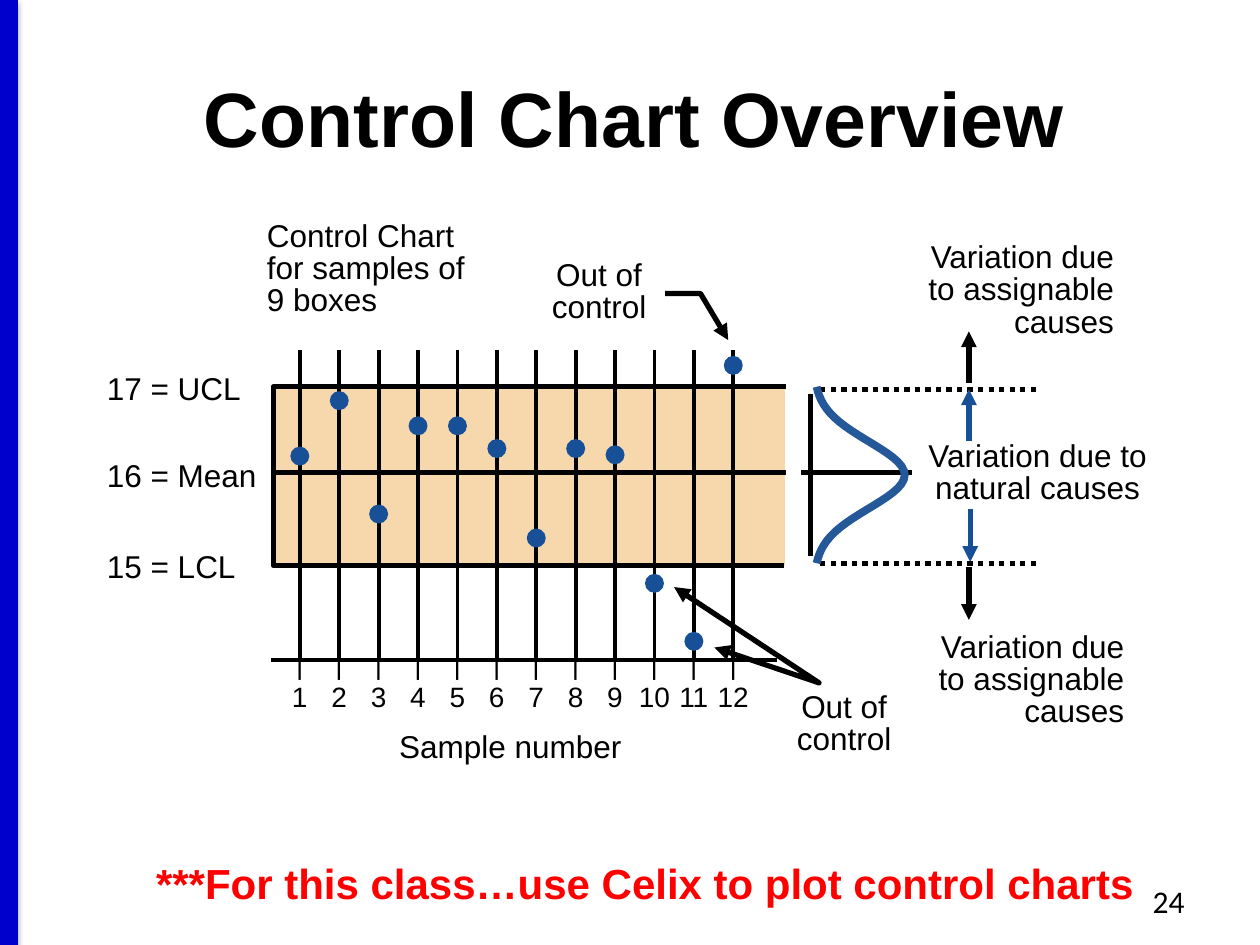
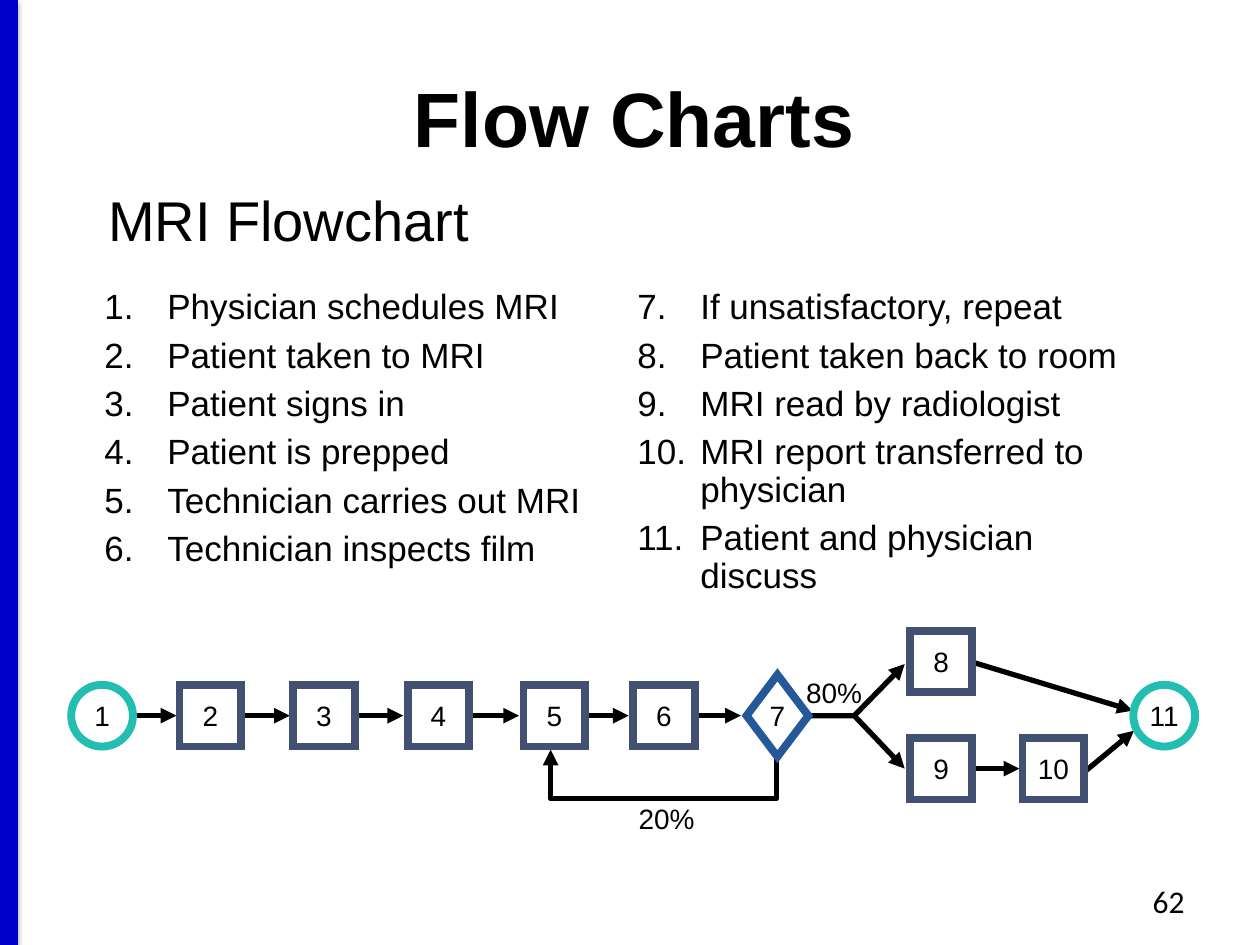
import math

import lxml.etree
import pptx
import pptx.dml.color
import pptx.enum.dml
import pptx.enum.shapes
import pptx.enum.text
import pptx.oxml.ns
import pptx.util

colour_of = pptx.dml.color.RGBColor.from_string
qn = pptx.oxml.ns.qn
ALIGN = pptx.enum.text.PP_ALIGN
SHAPE = pptx.enum.shapes.MSO_SHAPE
STRAIGHT = pptx.enum.shapes.MSO_CONNECTOR.STRAIGHT

BLACK, WHITE, RED = "000000", "FFFFFF", "FF0000"
BAND, SAND, DOT, BELL = "0000CC", "F7D7AC", "175097", "255898"
TEAL, SLATE = "24BDB2", "425171"


def style(shape, line=None, width=3, fill=None, arrows=(), dash=None, join="round"):
    """Set line, fill and arrowheads, and remove the theme shadow."""
    if hasattr(shape, "fill"):
        if fill:
            shape.fill.solid()
            shape.fill.fore_color.rgb = colour_of(fill)
        else:
            shape.fill.background()
    if line:
        shape.line.color.rgb = colour_of(line)
        shape.line.width = pptx.util.Pt(width)
        if dash:
            shape.line.dash_style = dash
        outline = shape._element.spPr.find(qn("a:ln"))
        lxml.etree.SubElement(outline, qn(f"a:{join}"))
        for end in arrows:
            lxml.etree.SubElement(outline, qn(f"a:{end}"), type="triangle")
    else:
        shape.line.fill.background()
    return lxml.etree.SubElement(shape._element.spPr, qn("a:effectLst"))


def write(shape, lines, size=18, color=BLACK, align=ALIGN.LEFT, bold=False, font="Arial",
          spacing=1.0, after=0, wrap=False, middle=False, first_number=None, tabs=()):
    frame = shape.text_frame
    frame.word_wrap = wrap
    if middle:
        frame.vertical_anchor = pptx.enum.text.MSO_ANCHOR.MIDDLE
    frame.text = "\n".join(lines)
    for paragraph in frame.paragraphs:
        properties = paragraph._p.get_or_add_pPr()
        if first_number:
            properties.set("marL", str(CELL // 2))
            properties.set("indent", str(-CELL // 2))
            lxml.etree.SubElement(properties, qn("a:buAutoNum"), type="arabicPeriod",
                                  startAt=str(first_number))
        if tabs:
            tab_list = lxml.etree.SubElement(properties, qn("a:tabLst"))
            for tab in tabs:
                lxml.etree.SubElement(tab_list, qn("a:tab"), pos=str(int(tab * CELL)), algn="ctr")
        paragraph_format = {"alignment": align, "line_spacing": spacing,
                            "space_after": pptx.util.Pt(after)}
        for name, value in paragraph_format.items():
            setattr(paragraph, name, value)
        font_format = {"size": pptx.util.Pt(size), "bold": bold, "name": font}
        for run in paragraph.runs:
            for name, value in font_format.items():
                setattr(run.font, name, value)
            run.font.color.rgb = colour_of(color)


presentation = pptx.Presentation()
presentation.slide_width = pptx.util.Inches(10)
presentation.slide_height = pptx.util.Inches(7.5)
CELL = presentation.slide_width // 10  # square grid: 10 columns by 7.5 rows

# Shared band, title and page number
slides = []
for title, number in [("Control Chart Overview", "24"), ("Flow Charts", "62")]:
    slide = presentation.slides.add_slide(presentation.slide_layouts[6])
    slides.append(slide)
    band_x = int(0.07 * CELL)
    band = slide.shapes.add_connector(STRAIGHT, band_x, 0, band_x, presentation.slide_height)
    effects = style(band, BAND, 10)
    shadow = lxml.etree.SubElement(effects, qn("a:outerShdw"), blurRad="39400", dist="20300",
                                   dir="5400000", rotWithShape="0")
    shadow_colour = lxml.etree.SubElement(shadow, qn("a:srgbClr"), val=BLACK)
    lxml.etree.SubElement(shadow_colour, qn("a:alpha"), val="38000")
    for box, text, text_format in [
        ((0.07, 0.3, 9.93, 1.25), title,
         {"size": 44, "bold": True, "align": ALIGN.CENTER, "middle": True, "wrap": True}),
        ((7.17, 6.95, 2.33, 0.4), number, {"font": "Calibri", "align": ALIGN.RIGHT, "wrap": True}),
    ]:
        write(slide.shapes.add_textbox(*(int(v * CELL) for v in box)), [text], **text_format)
control_slide, flow_slide = slides

# Control chart: scale, limits and samples
UCL, MEAN, LCL = 3.07, 3.75, 4.49
FIRST_X, LAST_X, AXIS_Y = 2.38, 5.82, 5.24
sample_heights = [3.62, 3.18, 4.08, 3.38, 3.38, 3.56, 4.27, 3.56, 3.61, 4.63, 5.09, 2.9]
sample_step = (LAST_X - FIRST_X) / (len(sample_heights) - 1)
sample_xs = [FIRST_X + i * sample_step for i in range(len(sample_heights))]

limits_area = control_slide.shapes.add_shape(
    SHAPE.RECTANGLE, *(int(v * CELL) for v in (2.17, UCL, 4.06, LCL - UCL)))
style(limits_area, fill=SAND)

BELL_TOP, BELL_STEPS = 3.07, 40
bell_curve = []
for i in range(BELL_STEPS + 1):
    offset = 1.4 * i / BELL_STEPS - 0.7
    bell_curve.append((6.46 + 0.72 * math.exp(-offset ** 2 / 0.14), BELL_TOP + 0.7 + offset))

TO_END, BOTH_ENDS = ("tailEnd",), ("headEnd", "tailEnd")
DOTTED = pptx.enum.dml.MSO_LINE.ROUND_DOT
control_lines = [
    ([(6.24, UCL), (2.17, UCL), (2.17, LCL), (6.22, LCL)], {}),
    ([(2.17, MEAN), (6.24, MEAN)], {}),
    *(([(x, 2.78), (x, AXIS_Y)], {"width": 2.25}) for x in sample_xs),
    ([(2.15, AXIS_Y), (6.17, AXIS_Y)], {"width": 2.25}),
    *(([(6.51, y), (8.26, y)], {"dash": DOTTED}) for y in (3.09, 4.47)),
    ([(6.36, MEAN), (7.24, MEAN)], {}),
    (bell_curve, {"line": BELL, "width": 4.5}),
    ([(6.43, 3.13), (6.43, 4.41)], {}),
    ([(7.69, 3.04), (7.69, 2.63)], {"arrows": TO_END}),
    ([(7.69, 4.5), (7.69, 4.92)], {"arrows": TO_END}),
    ([(7.69, 3.5), (7.69, 3.09)], {"line": DOT, "arrows": TO_END}),
    ([(7.7, 4.04), (7.7, 4.46)], {"line": DOT, "arrows": TO_END}),
    ([(5.35, 4.66), (6.5, 5.42), (5.67, 5.14)], {"arrows": BOTH_ENDS}),
    ([(5.28, 2.33), (5.56, 2.33), (5.78, 2.7)], {"arrows": TO_END}),
]

# Flow chart: nodes and the arrows between them
ROW_Y, UPPER_Y, LOWER_Y, NODE = 5.68, 5.25, 6.1, 0.49
FORK = (6.78, ROW_Y)
node_kinds = {
    "end": (SHAPE.OVAL, TEAL, NODE),
    "step": (SHAPE.RECTANGLE, SLATE, NODE),
    "check": (SHAPE.DIAMOND, BELL, 0.65),
}
nodes = [
    ("end", 0.81, ROW_Y), ("step", 1.67, ROW_Y), ("step", 2.57, ROW_Y), ("step", 3.48, ROW_Y),
    ("step", 4.4, ROW_Y), ("step", 5.27, ROW_Y), ("check", 6.17, ROW_Y),
    ("step", 7.47, UPPER_Y), ("step", 7.47, LOWER_Y), ("step", 8.36, LOWER_Y),
    ("end", 9.24, ROW_Y),
]
flow_lines = [
    *([(x, ROW_Y), (x + NODE, ROW_Y)] for x in (0.91, 1.81, 2.71, 3.63, 4.5, 5.39)),
    [(7.59, LOWER_Y), (8.09, LOWER_Y)],
    [(7.6, 5.22), (8.99, 5.64)],
    [(8.53, 6.19), (9, 5.8)],
    [(6.16, 5.86), (6.16, 6.34), (4.37, 6.34), (4.37, 5.95)],
    [(6.29, ROW_Y), FORK, (7.18, 5.27)],
    [FORK, (7.18, LOWER_Y)],
]

# Lines of both slides: two points make a connector, more make an open outline
all_lines = [(control_slide, points, line_format) for points, line_format in control_lines]
all_lines += [(flow_slide, points, {"arrows": TO_END}) for points in flow_lines]
for slide, grid_points, line_format in all_lines:
    points = [(int(x * CELL), int(y * CELL)) for x, y in grid_points]
    if len(points) == 2:
        path_shape = slide.shapes.add_connector(STRAIGHT, *points[0], *points[1])
    else:
        builder = slide.shapes.build_freeform(*points[0])
        builder.add_line_segments(points[1:], close=False)
        path_shape = builder.convert_to_shape()
    style(path_shape, **{"line": BLACK, **line_format})

DOT_SIZE = 0.14
for x, y in zip(sample_xs, sample_heights):
    dot = control_slide.shapes.add_shape(
        SHAPE.OVAL, *(int(v * CELL) for v in (x - DOT_SIZE / 2, y - DOT_SIZE / 2,
                                              DOT_SIZE, DOT_SIZE)))
    style(dot, DOT, 0.75, fill=DOT)

for number, (kind, x, y) in enumerate(nodes, start=1):
    preset, colour, height = node_kinds[kind]
    node = flow_slide.shapes.add_shape(
        preset, *(int(v * CELL) for v in (x - NODE / 2, y - height / 2, NODE, height)))
    style(node, colour, 4.5, fill=WHITE, join="miter")
    write(node, [str(number)], size=16, align=ALIGN.CENTER, middle=True)

# Text of both slides
TIGHT = {"spacing": 0.85, "wrap": True}
CENTERED = {**TIGHT, "align": ALIGN.CENTER}
RIGHT = {**TIGHT, "align": ALIGN.RIGHT}
STEPS = {"size": 20, "spacing": 0.9, "after": 6}
AXIS_LEFT, INSET = 2.07, 0.1
numbers = range(1, len(sample_xs) + 1)
assignable = ["Variation due to assignable causes"]
texts = [
    (control_slide, (0.75, 2.88, 1.28, 0.4), ["17 = UCL"], {}),
    (control_slide, (0.75, 3.57, 1.4, 0.4), ["16 = Mean"], {}),
    (control_slide, (0.75, 4.29, 1.25, 0.4), ["15 = LCL"], {}),
    (control_slide, (3.07, 5.77, 2.1, 0.37), ["Sample number"], {"spacing": 0.85}),
    (control_slide, (AXIS_LEFT, 5.08, 3.98, 0.64),
     ["".join("\t|" for _ in numbers), "".join(f"\t{n}" for n in numbers)],
     {"size": 16, "wrap": True, "tabs": [x - AXIS_LEFT - INSET for x in sample_xs]}),
    (control_slide, (2.02, 1.71, 1.9, 0.88), ["Control Chart for samples of 9 boxes"], TIGHT),
    (control_slide, (7.11, 1.88, 1.83, 0.88), assignable, RIGHT),
    (control_slide, (7.19, 4.97, 1.83, 0.88), assignable, RIGHT),
    (control_slide, (7.16, 3.46, 2.15, 0.62), ["Variation due to natural causes"], CENTERED),
    (control_slide, (6.07, 5.45, 1.26, 0.62), ["Out of control"], CENTERED),
    (control_slide, (4.12, 2.02, 1.27, 0.62), ["Out of control"], CENTERED),
    (control_slide, (1.14, 6.76, 8.11, 0.5),
     ["***For this class…use Celix to plot control charts"],
     {"size": 24, "color": RED, "bold": True}),
    (flow_slide, (0.76, 1.42, 3.46, 0.63), ["MRI Flowchart"], {"size": 32, "wrap": True}),
    (flow_slide, (0.73, 2.25, 3.99, 2.35),
     ["Physician schedules MRI", "Patient taken to MRI", "Patient signs in",
      "Patient is prepped", "Technician carries out MRI", "Technician inspects film"],
     {**STEPS, "first_number": 1}),
    (flow_slide, (4.96, 2.25, 4.31, 2.56),
     ["If unsatisfactory, repeat", "Patient taken back to room", "MRI read by radiologist",
      "MRI report transferred to physician", "Patient and physician discuss"],
     {**STEPS, "first_number": 7, "wrap": True}),
    (flow_slide, (4.97, 6.31, 0.66, 0.37), ["20%"], {"size": 16}),
    (flow_slide, (6.3, 5.31, 0.66, 0.37), ["80%"], {"size": 16}),
]
for slide, box, lines, text_format in texts:
    write(slide.shapes.add_textbox(*(int(v * CELL) for v in box)), lines, **text_format)

presentation.save("out.pptx")
